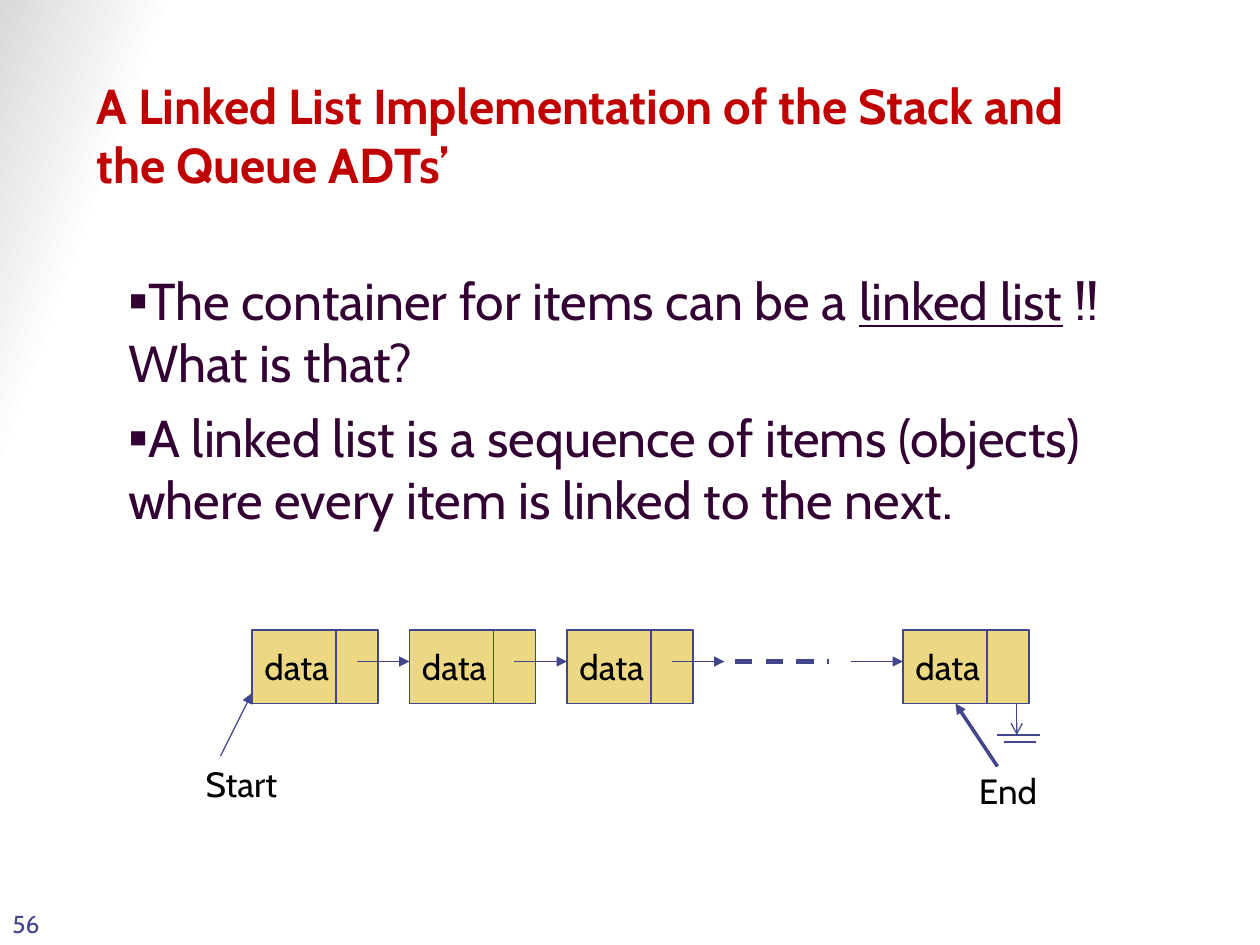
"""Build a slide that introduces the linked list behind stacks and queues."""
from lxml import etree
from pptx import Presentation
from pptx.dml.color import RGBColor
from pptx.enum.dml import MSO_LINE
from pptx.enum.shapes import MSO_CONNECTOR, MSO_SHAPE
from pptx.enum.text import MSO_ANCHOR, MSO_AUTO_SIZE, PP_ALIGN
from pptx.oxml.ns import qn
from pptx.util import Pt

STRAIGHT = MSO_CONNECTOR.STRAIGHT
RECTANGLE = MSO_SHAPE.RECTANGLE
DASH = MSO_LINE.DASH
TOP, MIDDLE, BOTTOM = MSO_ANCHOR.TOP, MSO_ANCHOR.MIDDLE, MSO_ANCHOR.BOTTOM
LEFT, CENTER = PP_ALIGN.LEFT, PP_ALIGN.CENTER
NO_AUTOFIT = MSO_AUTO_SIZE.NONE

FONT = "Cabin"
COLORS = {
    "white": "FFFFFF",
    "shade": "D9D9D9",
    "title": "C00000",
    "body": "330033",
    "line": "40458C",
    "node": "ECD882",
    "label": "000000",
}


def add_run(paragraph, text, size, color, bold=False, underline=False):
    run = paragraph.add_run()
    run.text = text
    run.font.name = FONT
    run.font.size = Pt(size)
    run.font.bold = bold
    run.font.underline = underline
    run.font.color.rgb = RGBColor.from_string(COLORS[color])


def add_line(start, end, width=0.75, arrowhead=None):
    connector = slide.shapes.add_connector(STRAIGHT, *map(Pt, start + end))
    connector.line.color.rgb = RGBColor.from_string(COLORS["line"])
    connector.line.width = Pt(width)
    if arrowhead:
        outline = connector.line._get_or_add_ln()
        etree.SubElement(outline, qn("a:tailEnd"), type=arrowhead)
    etree.SubElement(connector._element.spPr, qn("a:effectLst"))
    return connector


presentation = Presentation()
presentation.slide_width = Pt(720)
presentation.slide_height = Pt(540)
slide = presentation.slides.add_slide(presentation.slide_layouts[1])

background = slide.background.fill
background.gradient()
background.gradient_angle = 160
for stop, position, color in zip(background.gradient_stops, (0.89, 1), ("white", "shade")):
    stop.position = position
    stop.color.rgb = RGBColor.from_string(COLORS[color])

title = slide.shapes.title
title.left, title.top, title.width, title.height = Pt(48), Pt(24), Pt(612), Pt(90)
title.text_frame.auto_size = NO_AUTOFIT
title.text_frame.vertical_anchor = BOTTOM
paragraph = title.text_frame.paragraphs[0]
paragraph.alignment = LEFT
add_run(paragraph, "A Linked List Implementation of the Stack and the Queue ADTs’", 28, "title", bold=True)

body = slide.placeholders[1]
body.left, body.top, body.width, body.height = Pt(66), Pt(150), Pt(612), Pt(179)
body.text_frame.auto_size = NO_AUTOFIT
bullets = [
    [("The container for items can be a ", False), ("linked list", True), (" !! What is that?", False)],
    [("A linked list is a sequence of items (objects) where every item is linked to the next.", False)],
]
for index, runs in enumerate(bullets):
    paragraph = body.text_frame.add_paragraph() if index else body.text_frame.paragraphs[0]
    properties = paragraph._p.get_or_add_pPr()
    properties.set("marL", "0")
    properties.set("indent", "0")
    etree.SubElement(properties, qn("a:buSzPct"), val="110000")
    etree.SubElement(properties, qn("a:buChar"), char="▪")
    paragraph.space_before = Pt(7 * index)
    for text, underline in runs:
        add_run(paragraph, text, 29.6, "body", underline=underline)

NODE_TOP, NODE_HEIGHT, DATA_WIDTH, LINK_WIDTH = 360, 42, 48, 24
for node_left in (144, 234, 324, 516):
    for left, width, text in ((node_left, DATA_WIDTH, "data"), (node_left + DATA_WIDTH, LINK_WIDTH, "")):
        cell = slide.shapes.add_shape(RECTANGLE, Pt(left), Pt(NODE_TOP), Pt(width), Pt(NODE_HEIGHT))
        cell.shadow.inherit = False
        cell.fill.solid()
        cell.fill.fore_color.rgb = RGBColor.from_string(COLORS["node"])
        cell.line.color.rgb = RGBColor.from_string(COLORS["line"])
        cell.line.width = Pt(0.75)
        if text:
            cell.text_frame.word_wrap = False
            cell.text_frame.vertical_anchor = MIDDLE
            paragraph = cell.text_frame.paragraphs[0]
            paragraph.alignment = LEFT
            add_run(paragraph, text, 20, "label")

LINK_Y = 378
for link_left in (204, 294, 384, 486):
    add_line((link_left, LINK_Y), (link_left + 30, LINK_Y), arrowhead="triangle")
add_line((420, LINK_Y), (474, LINK_Y), width=2.5).line.dash_style = DASH

add_line((126, 432), (144, 396), arrowhead="triangle")
add_line((570, 438), (546, 402), width=0, arrowhead="triangle")

add_line((570, 420), (594, 420))
add_line((574, 424), (592, 424))
add_line((581, 402), (581, 420), arrowhead="arrow")

labels = [
    ("Start", 102, 432, 72, 32, 20, "label", CENTER, TOP),
    ("End", 534, 436, 84, 32, 20, "label", CENTER, TOP),
    ("56", 0, 504, 42, 36, 14, "line", LEFT, BOTTOM),
]
for text, left, top, width, height, size, color, alignment, anchor in labels:
    label = slide.shapes.add_textbox(Pt(left), Pt(top), Pt(width), Pt(height))
    label.text_frame.word_wrap = True
    label.text_frame.vertical_anchor = anchor
    paragraph = label.text_frame.paragraphs[0]
    paragraph.alignment = alignment
    add_run(paragraph, text, size, color)

presentation.save("out.pptx")
